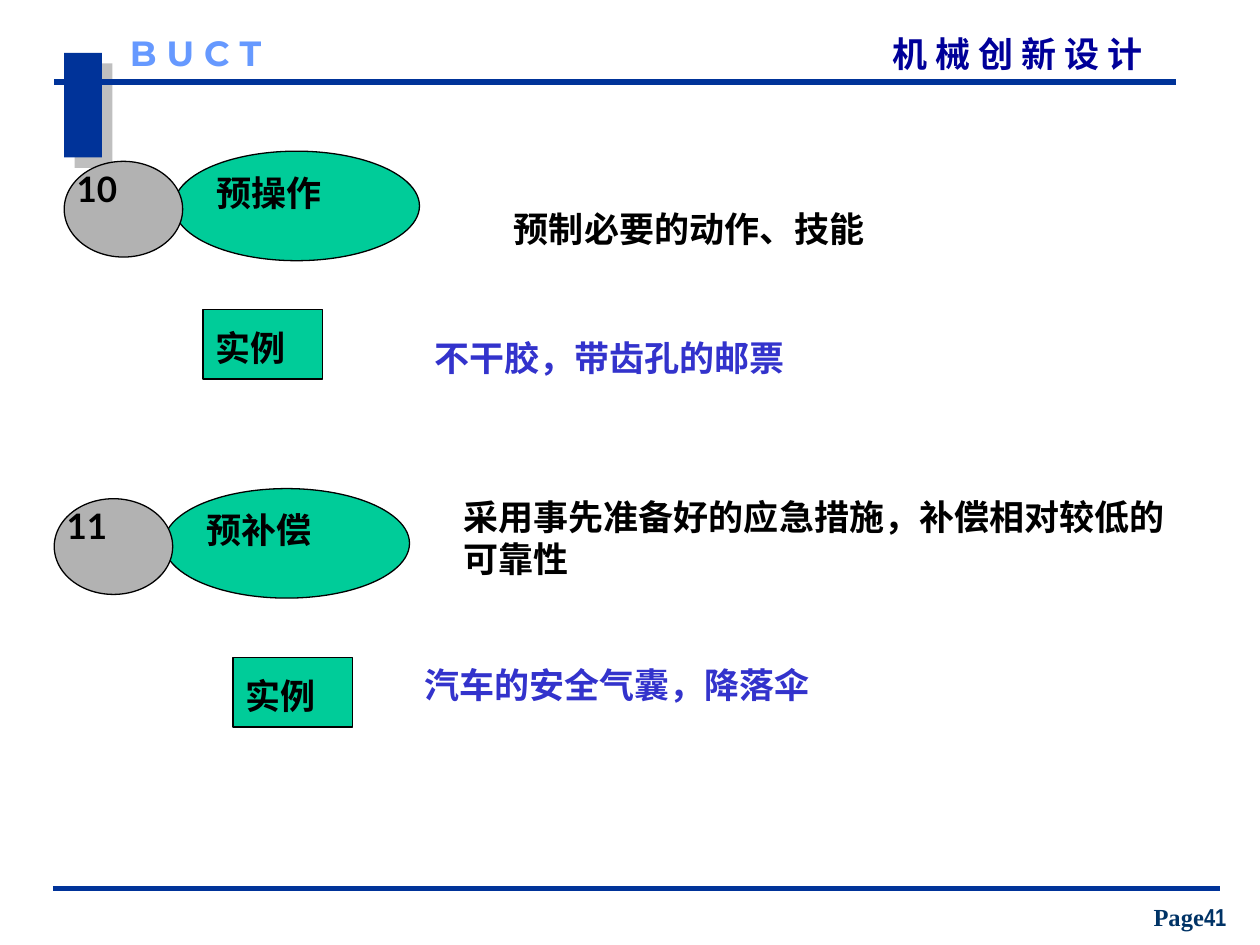
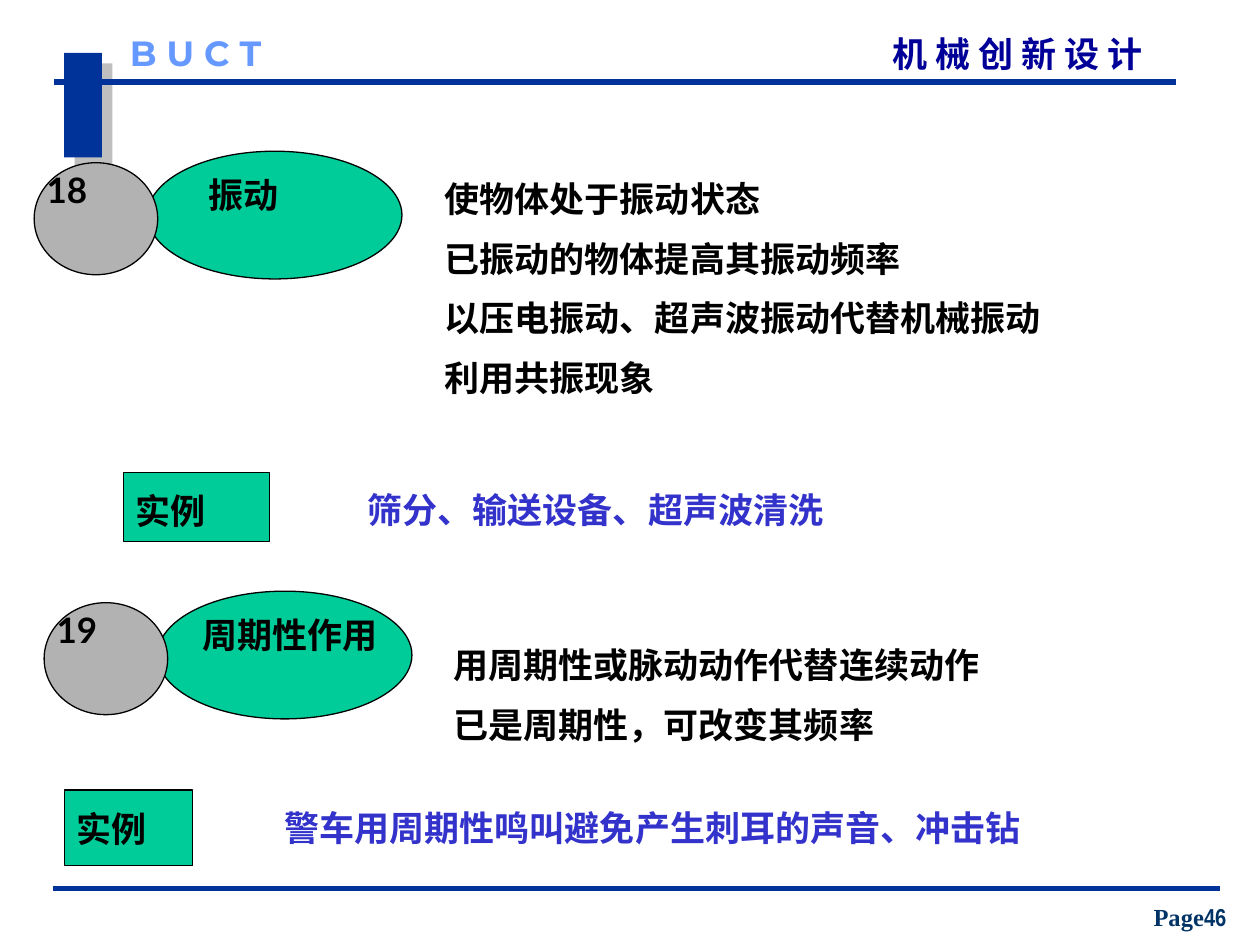
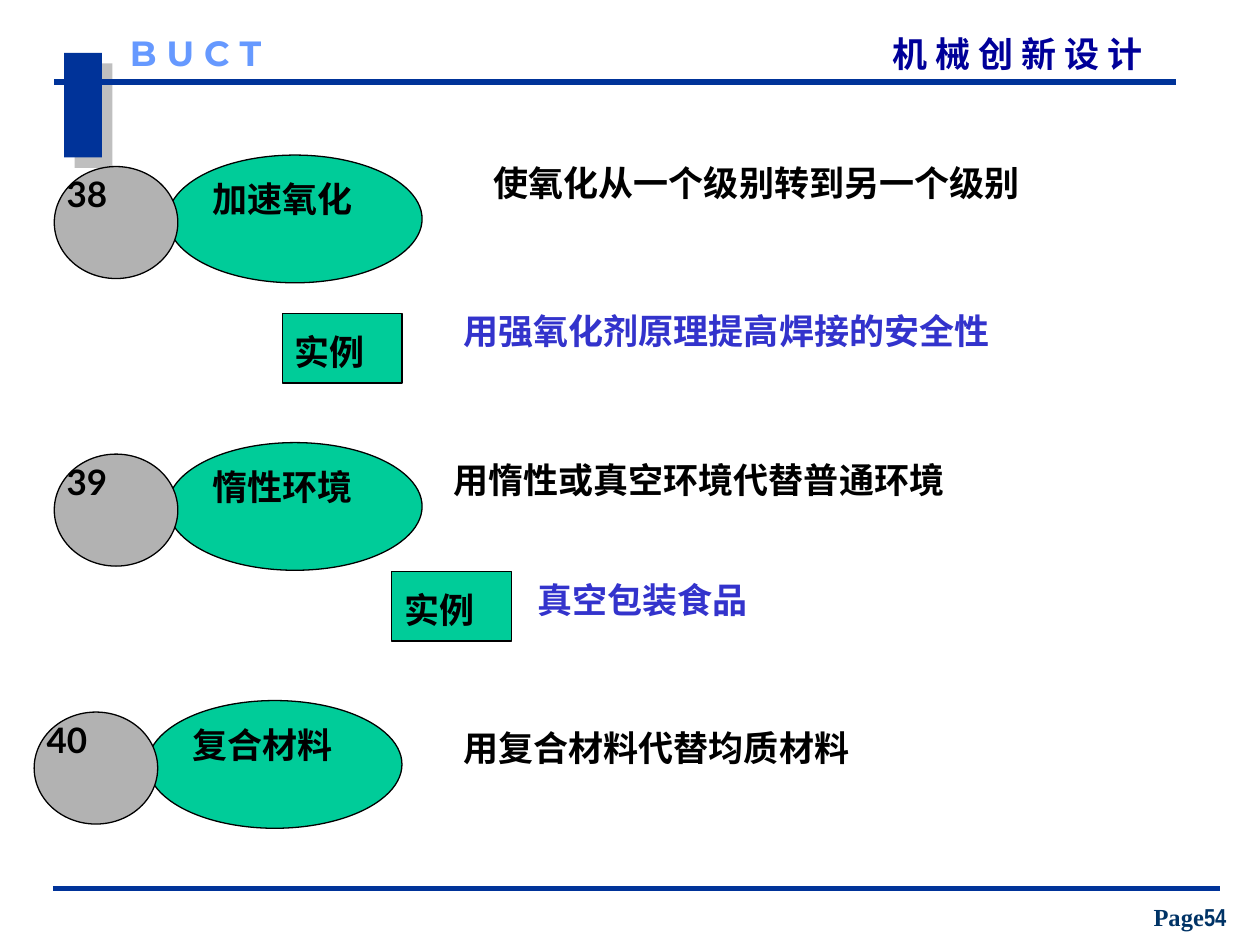
from dataclasses import dataclass

from lxml import etree
from pptx import Presentation
from pptx.dml.color import RGBColor
from pptx.enum.shapes import MSO_CONNECTOR, MSO_SHAPE
from pptx.enum.text import MSO_ANCHOR, MSO_AUTO_SIZE, PP_ALIGN
from pptx.oxml import parse_xml
from pptx.oxml.ns import nsdecls, qn
from pptx.util import Pt

OVAL, RECTANGLE = MSO_SHAPE.OVAL, MSO_SHAPE.RECTANGLE
STRAIGHT = MSO_CONNECTOR.STRAIGHT
TOP, BOTTOM = MSO_ANCHOR.TOP, MSO_ANCHOR.BOTTOM
LEFT, CENTER = PP_ALIGN.LEFT, PP_ALIGN.CENTER
FIT_TEXT = MSO_AUTO_SIZE.SHAPE_TO_FIT_TEXT
TITLE_ONLY = 5


@dataclass(frozen=True)
class Theme:
    band: str = "003399"
    course: str = "000099"
    school: str = "6699FF"
    page: str = "003366"
    principle: str = "00CC99"
    number: str = "B2B2B2"
    ink: str = "000000"
    example: str = "3333CC"
    body_font: str = "Lato"
    course_font: str = "Noto Sans CJK SC"
    school_font: str = "Montserrat"
    page_font: str = "Times New Roman"
    page_number_font: str = "Arial Narrow"
    text_size: int = 20
    page_size: int = 14
    paragraph_gap: int = 10
    rule_width: int = 3
    outline_width: float = 0.75


@dataclass(frozen=True)
class BadgeSize:
    """Sizes and offsets of a numbered badge, measured from its left and top."""
    name_oval: tuple
    name_text: tuple
    number_oval: tuple
    number_text: tuple


COMPACT = BadgeSize((62.6, 0, 140.4, 62.6), (79.9, 8, 113.8, 36),
                    (0, 5.8, 67.7, 54.7), (0, 5.8, 45.4, 36))
LARGE = BadgeSize((64.8, 0, 145.4, 73), (83.2, 9.4, 118, 36),
                  (0, 6.6, 70.6, 64), (0, 6.6, 46.8, 36))


class Deck:
    def __init__(self, theme):
        self.theme = theme
        self.presentation = Presentation()
        self.presentation.slide_width = Pt(720)
        self.presentation.slide_height = Pt(540)
        self.slide = None

    def new_slide(self, page_number):
        theme = self.theme
        layout = self.presentation.slide_layouts[TITLE_ONLY]
        self.slide = self.presentation.slides.add_slide(layout)
        band = self.shape(self.slide.shapes, RECTANGLE, (36.7, 30.2, 21.6, 59.8), theme.band)
        band.line.fill.background()
        self.cast_shadow(band)
        self.rule(31, 672, 46.8)
        self.rule(30.2, 697, 507.6)
        self.course_title()
        self.text((74.2, 18, 102, 24), ["B U C T"], theme.school, theme.school_font, margin=0)
        self.page_label(page_number)

    def shape(self, parent, preset, box, fill):
        shape = parent.add_shape(preset, *map(Pt, box))
        shape.shadow.inherit = False
        shape.fill.solid()
        shape.fill.fore_color.rgb = RGBColor.from_string(fill)
        shape.line.color.rgb = RGBColor.from_string(self.theme.ink)
        shape.line.width = Pt(self.theme.outline_width)
        return shape

    def cast_shadow(self, shape):
        effects = shape._element.spPr.find(qn("a:effectLst"))
        effects.append(parse_xml(
            f'<a:outerShdw {nsdecls("a")} dist="107950" dir="2700000" algn="ctr" rotWithShape="0">'
            '<a:srgbClr val="808080"><a:alpha val="50000"/></a:srgbClr></a:outerShdw>'))

    def rule(self, start, end, y):
        line = self.slide.shapes.add_connector(STRAIGHT, Pt(start), Pt(y), Pt(end), Pt(y))
        line.line.color.rgb = RGBColor.from_string(self.theme.band)
        line.line.width = Pt(self.theme.rule_width)
        etree.SubElement(line._element.spPr, qn("a:effectLst"))

    def format_font(self, run, color, font_name, size):
        values = {"name": font_name, "size": Pt(size), "bold": True}
        for attribute, value in values.items():
            setattr(run.font, attribute, value)
        run.font.color.rgb = RGBColor.from_string(color)
        east_asian = etree.SubElement(run._r.get_or_add_rPr(), qn("a:ea"))
        east_asian.set("typeface", font_name)

    def format_frame(self, frame, margin=None, anchor=TOP, fit=FIT_TEXT):
        values = {"word_wrap": True, "vertical_anchor": anchor, "auto_size": fit}
        if margin is not None:
            sides = ("left", "right", "top", "bottom")
            values.update({f"margin_{side}": Pt(margin) for side in sides})
        for attribute, value in values.items():
            setattr(frame, attribute, value)

    def course_title(self):
        theme = self.theme
        title = self.slide.shapes.title
        title.left, title.top, title.width, title.height = map(Pt, (510, 18.7, 177, 24))
        self.format_frame(title.text_frame, margin=0)
        paragraph = title.text_frame.paragraphs[0]
        paragraph.alignment = LEFT
        run = paragraph.add_run()
        run.text = "机 械 创 新 设 计"
        self.format_font(run, theme.course, theme.course_font, theme.text_size)

    def text(self, box, lines, color=None, font_name=None, parent=None, margin=None):
        theme = self.theme
        parent = parent or self.slide.shapes
        frame = parent.add_textbox(*map(Pt, box)).text_frame
        self.format_frame(frame, margin)
        for index, line in enumerate(lines):
            paragraph = frame.add_paragraph() if index else frame.paragraphs[0]
            if index:
                paragraph.space_before = Pt(theme.paragraph_gap)
            run = paragraph.add_run()
            run.text = line
            self.format_font(run, color or theme.ink, font_name or theme.body_font,
                             theme.text_size)

    def page_label(self, page_number):
        theme = self.theme
        frame = self.slide.shapes.add_textbox(*map(Pt, (645.8, 512, 68.4, 23.8))).text_frame
        self.format_frame(frame, anchor=BOTTOM, fit=MSO_AUTO_SIZE.NONE)
        paragraph = frame.paragraphs[0]
        paragraph.alignment = CENTER
        for content, font_name in (("Page", theme.page_font),
                                   (str(page_number), theme.page_number_font)):
            run = paragraph.add_run()
            run.text = content
            self.format_font(run, theme.page, font_name, theme.page_size)

    def principle(self, number, name, left, top, size, name_shift=0):
        """Draw a numbered badge; name_shift moves a short name to the right."""
        theme = self.theme
        badge = self.slide.shapes.add_group_shape().shapes

        def placed(box, shift=0):
            x, y, width, height = box
            return left + x + shift, top + y, width, height

        self.shape(badge, OVAL, placed(size.name_oval), theme.principle)
        self.text(placed(size.name_text, name_shift), [name], parent=badge)
        self.shape(badge, OVAL, placed(size.number_oval), theme.number)
        self.text(placed(size.number_text), [number], parent=badge)

    def example(self, tag_box, text_box, content):
        left, top, width, height = tag_box
        tag = self.slide.shapes.add_group_shape().shapes
        self.shape(tag, RECTANGLE, tag_box, self.theme.principle)
        self.text((left, top + 0.15 * height, width, 36), ["实例"], parent=tag)
        self.text(text_box, [content], self.theme.example)


def main():
    deck = Deck(Theme())

    deck.new_slide(41)
    deck.principle("10", "预操作", 36.7, 86.4, COMPACT)
    deck.text((286.6, 115.2, 300, 36), ["预制必要的动作、技能"])
    deck.example((116, 177, 68.4, 39.6), (241.2, 188.6, 295, 36), "不干胶，带齿孔的邮票")
    deck.principle("11", "预补偿", 31, 279.2, COMPACT)
    deck.text((257.8, 279.4, 425.5, 64.8), ["采用事先准备好的应急措施，补偿相对较低的可靠性"])
    deck.example((133.2, 375.8, 68.4, 39.6), (235.4, 375.8, 295, 36), "汽车的安全气囊，降落伞")

    deck.new_slide(46)
    deck.principle("18", "振动", 19.5, 86.4, LARGE, name_shift=9.5)
    deck.text((247, 97.9, 425.5, 165.6), [
        "使物体处于振动状态", "已振动的物体提高其振动频率",
        "以压电振动、超声波振动代替机械振动", "利用共振现象"])
    deck.example((70.6, 270, 83.5, 39.6), (203, 275.8, 333.4, 36), "筛分、输送设备、超声波清洗")
    deck.principle("19", "周期性作用", 25.2, 337.8, LARGE)
    deck.text((252, 364.3, 414, 79.2), ["用周期性或脉动动作代替连续动作", "已是周期性，可改变其频率"])
    deck.example((36.7, 451.4, 73.4, 43.2), (155.5, 457.2, 549.4, 36),
                 "警车用周期性鸣叫避免产生刺耳的声音、冲击钻")

    deck.new_slide(54)
    deck.principle("38", "加速氧化", 31, 88.6, LARGE)
    deck.text((275, 88.6, 402.5, 36), ["使氧化从一个级别转到另一个级别"])
    deck.example((161.3, 179.2, 68.4, 39.6), (257.8, 173.5, 419.8, 36),
                 "用强氧化剂原理提高焊接的安全性")
    deck.principle("39", "惰性环境", 31, 252.9, LARGE)
    deck.text((252, 258.5, 402.5, 36), ["用惰性或真空环境代替普通环境"])
    deck.example((223.8, 326.7, 68.4, 39.6), (300.2, 326.9, 201.6, 36), "真空包装食品")
    deck.principle("40", "复合材料", 19.5, 400.3, LARGE)
    deck.text((257.8, 411.8, 329, 36), ["用复合材料代替均质材料"])

    deck.presentation.save("out.pptx")


if __name__ == "__main__":
    main()
